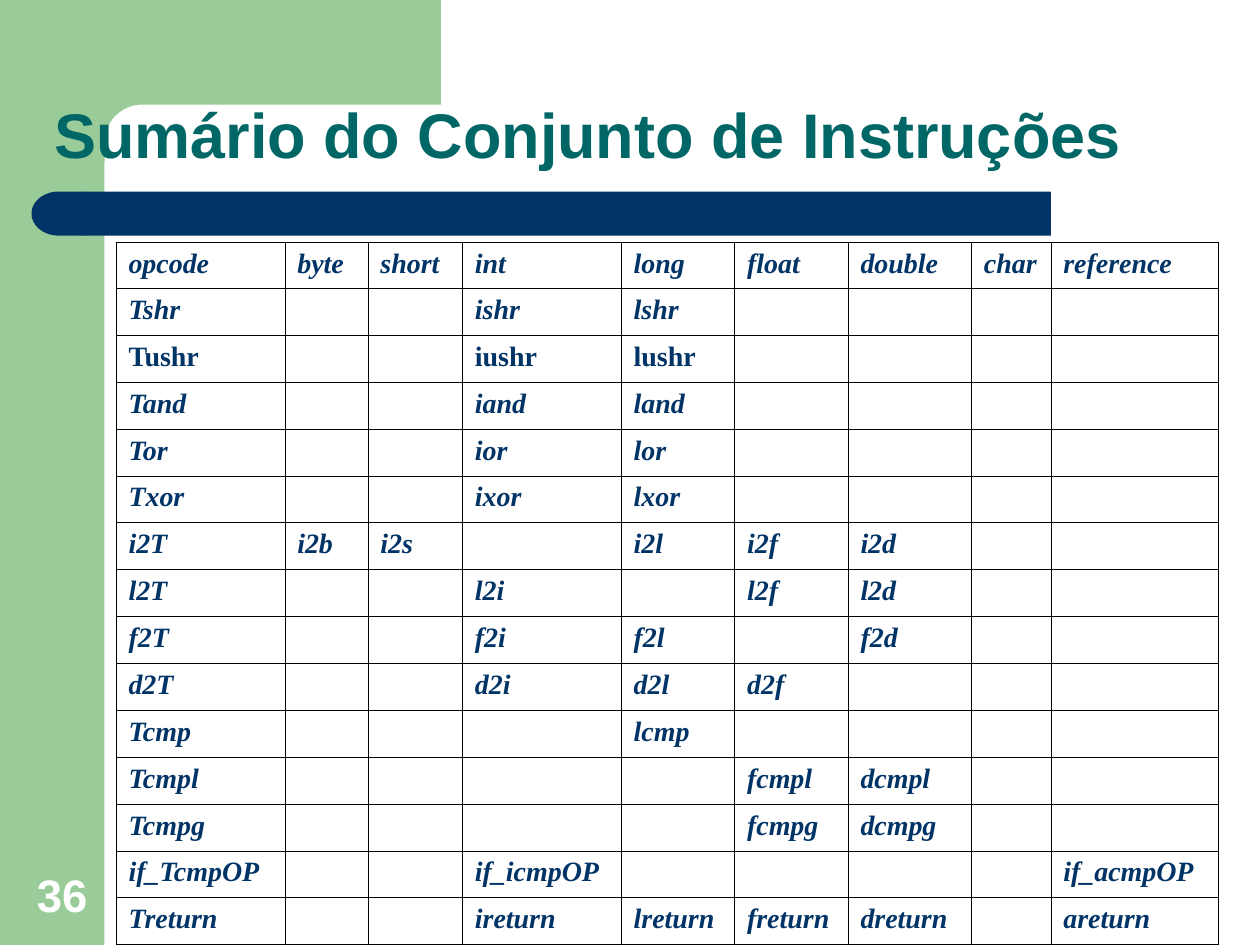
"""Build the slide that summarises the instruction set by operand type."""
import math
from dataclasses import dataclass

import lxml.etree
import pptx
import pptx.dml.color
import pptx.enum.shapes
import pptx.enum.text
import pptx.oxml.ns
import pptx.util

Inches = pptx.util.Inches
MSO_SHAPE = pptx.enum.shapes.MSO_SHAPE
PP_ALIGN = pptx.enum.text.PP_ALIGN
qn = pptx.oxml.ns.qn

GREEN, NAVY, TEAL, WHITE, BLACK = "99CC99", "003366", "006666", "FFFFFF", "000000"
COL_WIDTHS = (1.34, 0.66, 0.75, 1.26, 0.9, 0.9, 0.98, 0.63, 1.33)
TABLE_HEIGHT = 5.5
CELL_SIZE = 16
UPRIGHT_ROW = "Tushr"
INSTRUCTIONS = """\
opcode|byte|short|int|long|float|double|char|reference
Tshr|||ishr|lshr||||
Tushr|||iushr|lushr||||
Tand|||iand|land||||
Tor|||ior|lor||||
Txor|||ixor|lxor||||
i2T|i2b|i2s||i2l|i2f|i2d||
l2T|||l2i||l2f|l2d||
f2T|||f2i|f2l||f2d||
d2T|||d2i|d2l|d2f|||
Tcmp||||lcmp||||
Tcmpl|||||fcmpl|dcmpl||
Tcmpg|||||fcmpg|dcmpg||
if_TcmpOP|||if_icmpOP|||||if_acmpOP
Treturn|||ireturn|lreturn|freturn|dreturn||areturn"""


@dataclass
class Box:
    left: float
    top: float
    width: float
    height: float

    def lengths(self) -> tuple:
        return tuple(Inches(v) for v in (self.left, self.top, self.width, self.height))


@dataclass
class Band:
    shape: MSO_SHAPE
    box: Box
    color: str
    rotation: int = 0


@dataclass
class TextStyle:
    font: str
    size: int
    color: str
    italic: bool = False


SIDEBAR = Band(MSO_SHAPE.RECTANGLE, Box(0, 0, 0.83, 7.5), GREEN)
TITLE_BAR = (
    Band(MSO_SHAPE.RECTANGLE, Box(0.67, 1.52, 7.67, 0.35), NAVY),
    Band(MSO_SHAPE.FLOWCHART_DELAY, Box(0.25, 1.52, 0.43, 0.35), NAVY, 180),
)


def rgb(color: str) -> pptx.dml.color.RGBColor:
    return pptx.dml.color.RGBColor.from_string(color)


def paint(sp, color: str) -> None:
    sp.shadow.inherit = False
    sp.fill.solid()
    sp.fill.fore_color.rgb = rgb(color)
    sp.line.fill.background()


def add_band(s, band: Band) -> None:
    sp = s.shapes.add_shape(band.shape, *band.box.lengths())
    sp.rotation = band.rotation
    paint(sp, band.color)


def add_corner(s) -> None:
    radius, center, steps = 0.3, 1.13, 16
    angles = [math.pi / 2 * i / steps for i in range(steps + 1)]
    arc = [(center - radius * math.sin(a), center - radius * math.cos(a)) for a in angles]
    outline = [(3.5, 0), (3.5, 0.83), *arc, (0.83, 1.28), (0.5, 1.28)]
    builder = s.shapes.build_freeform(Inches(0.5), 0)
    builder.add_line_segments([(Inches(x), Inches(y)) for x, y in outline])
    paint(builder.convert_to_shape(), GREEN)


def write(tf, text: str, style: TextStyle, align=PP_ALIGN.LEFT) -> None:
    tf.text = text
    p = tf.paragraphs[0]
    p.alignment = align
    for r in p.runs:
        r.font.name = style.font
        r.font.size = pptx.util.Pt(style.size)
        r.font.bold = True
        r.font.italic = style.italic
        r.font.color.rgb = rgb(style.color)


def add_title(s) -> None:
    sp = s.shapes.title
    sp.left, sp.top, sp.width, sp.height = Box(0.33, 0.33, 9.34, 1.09).lengths()
    tf = sp.text_frame
    write(tf, "Sumário do Conjunto de Instruções", TextStyle("Arial", 36, TEAL))
    tf.paragraphs[0].line_spacing = 0.9
    tf.vertical_anchor = pptx.enum.text.MSO_ANCHOR.BOTTOM
    tf.auto_size = pptx.enum.text.MSO_AUTO_SIZE.NONE
    sp.element.getparent().append(sp.element)


def add_borders(cell) -> None:
    tc_pr = cell._tc.get_or_add_tcPr()
    for side in ("lnL", "lnR", "lnT", "lnB"):
        ln = lxml.etree.SubElement(tc_pr, qn(f"a:{side}"), w=str(pptx.util.Pt(0.06)))
        fill = lxml.etree.SubElement(ln, qn("a:solidFill"))
        lxml.etree.SubElement(fill, qn("a:srgbClr"), val=BLACK)


def add_instruction_table(s) -> None:
    rows = [line.split("|") for line in INSTRUCTIONS.splitlines()]
    box = Box(0.92, 1.92, sum(COL_WIDTHS), TABLE_HEIGHT)
    table = s.shapes.add_table(len(rows), len(COL_WIDTHS), *box.lengths()).table
    table.first_row = table.horz_banding = False
    for column, width in zip(table.columns, COL_WIDTHS):
        column.width = Inches(width)
    for row, texts in zip(table.rows, rows):
        row.height = Inches(TABLE_HEIGHT / len(rows))
        style = TextStyle("Times New Roman", CELL_SIZE, NAVY, texts[0] != UPRIGHT_ROW)
        for cell, text in zip(row.cells, texts):
            add_borders(cell)
            cell.fill.background()
            write(cell.text_frame, text, style)
            if not text:
                p = cell.text_frame.paragraphs[0]
                lxml.etree.SubElement(p._p, qn("a:endParaRPr"), sz=str(CELL_SIZE * 100))


def add_slide_number(s) -> None:
    tf = s.shapes.add_textbox(*Box(0.08, 6.83, 0.83, 0.53).lengths()).text_frame
    tf.word_wrap = True
    tf.vertical_anchor = pptx.enum.text.MSO_ANCHOR.BOTTOM
    write(tf, "36", TextStyle("Arial", 26, WHITE), PP_ALIGN.CENTER)


def main() -> None:
    prs = pptx.Presentation()
    prs.slide_width, prs.slide_height = Inches(10), Inches(7.5)
    s = prs.slides.add_slide(prs.slide_layouts[5])
    add_band(s, SIDEBAR)
    add_corner(s)
    for band in TITLE_BAR:
        add_band(s, band)
    add_title(s)
    add_instruction_table(s)
    add_slide_number(s)
    prs.save("out.pptx")


if __name__ == "__main__":
    main()
